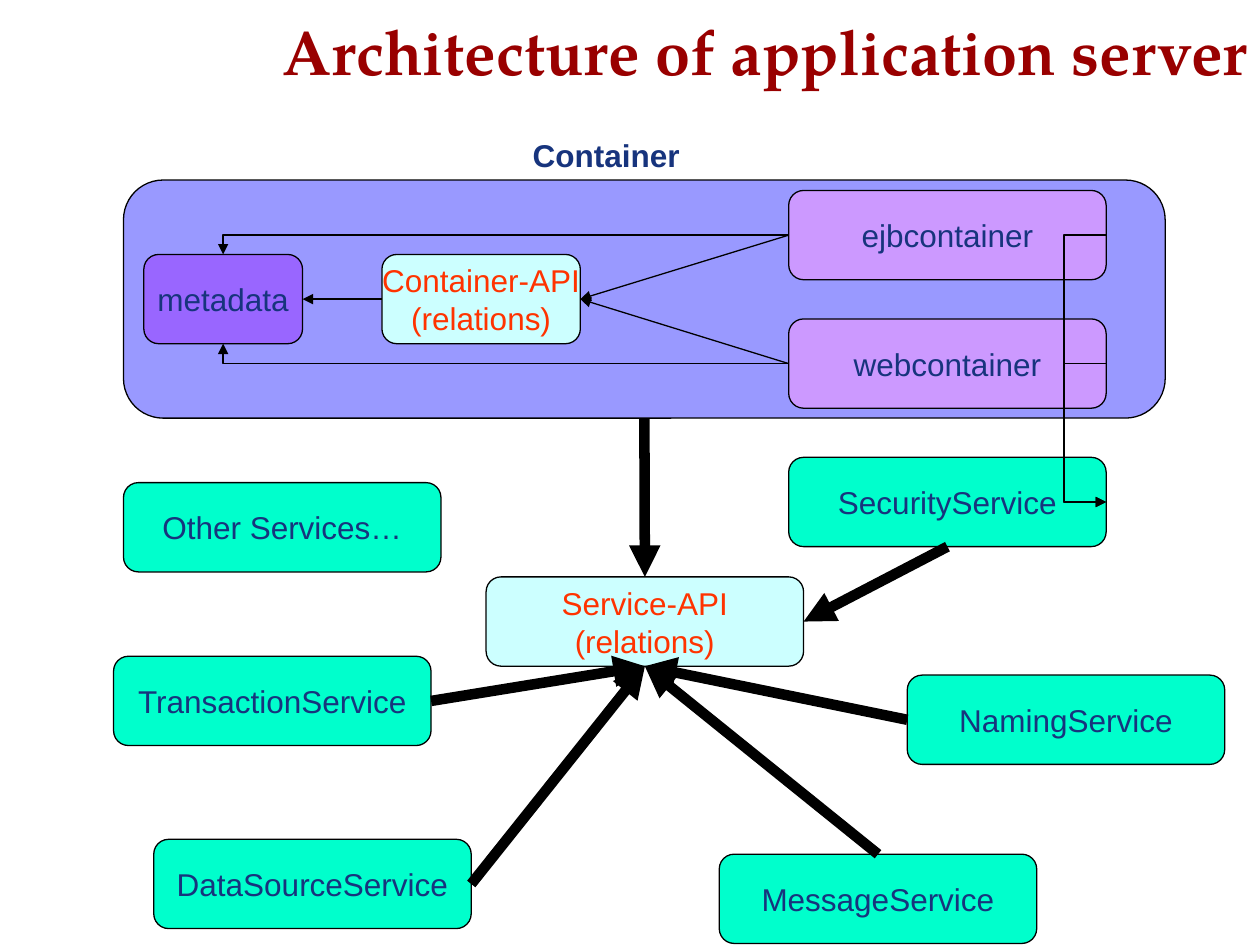
from lxml import etree
from pptx import Presentation
from pptx.dml.color import RGBColor
from pptx.enum.shapes import MSO_CONNECTOR, MSO_SHAPE
from pptx.enum.text import MSO_ANCHOR, PP_ALIGN
from pptx.oxml.ns import qn
from pptx.util import Cm, Pt

STRAIGHT, ELBOW = MSO_CONNECTOR.STRAIGHT, MSO_CONNECTOR.ELBOW
ROUND, CARD = MSO_SHAPE.ROUNDED_RECTANGLE, MSO_SHAPE.FLOWCHART_ALTERNATE_PROCESS
LEFT, CENTER, RIGHT = PP_ALIGN.LEFT, PP_ALIGN.CENTER, PP_ALIGN.RIGHT
TOP, MIDDLE, BOTTOM = MSO_ANCHOR.TOP, MSO_ANCHOR.MIDDLE, MSO_ANCHOR.BOTTOM
NORTH, WEST, SOUTH, EAST = range(4)

NAVY, ORANGE, RED, BLACK = "17347D", "FF3300", "990000", "000000"
MINT, ICE, LILAC, VIOLET, BLUE = "00FFCC", "CCFFFF", "CC99FF", "9966FF", "9999FF"
WIDE, HIGH = 6.4, 1.8
THIN, THICK = 0.75, 6


def color(code):
    return RGBColor.from_string(code)


def write(shape, text, size=18, font="Arial", ink=NAVY, bold=False,
          align=CENTER, anchor=MIDDLE, wrap=False, pad=0.13):
    frame = shape.text_frame
    frame.word_wrap = wrap
    frame.vertical_anchor = anchor
    frame.margin_left = frame.margin_right = Cm(0.25)
    frame.margin_top = frame.margin_bottom = Cm(pad)
    frame.text = text
    for para in frame.paragraphs:
        para.alignment = align
        para.font.size = Pt(size)
        para.font.name = font
        para.font.bold = bold
        para.font.color.rgb = color(ink)


def label(slide, box, text, **style):
    write(slide.shapes.add_textbox(*map(Cm, box)), text, wrap=True, **style)


def panel(slide, box, fill, kind=CARD):
    shape = slide.shapes.add_shape(kind, *map(Cm, box))
    shape.shadow.inherit = False
    shape.fill.solid()
    shape.fill.fore_color.rgb = color(fill)
    shape.line.color.rgb = color(BLACK)
    shape.line.width = Pt(THIN)
    return shape


def card(slide, left, top, text, fill=MINT, ink=NAVY, wide=WIDE):
    shape = panel(slide, (left, top, wide, HIGH), fill)
    write(shape, text, ink=ink)
    return shape


def link(slide, start, side, end, stop, width=THIN, kind=STRAIGHT):
    line = slide.shapes.add_connector(kind, 0, 0, 0, 0)
    line.begin_connect(start, side)
    line.end_connect(end, stop)
    line.line.color.rgb = color(BLACK)
    line.line.width = Pt(width)
    props = line._element.spPr
    etree.SubElement(props.find(qn("a:ln")), qn("a:tailEnd"), type="triangle")
    etree.SubElement(props, qn("a:effectLst"))
    return line


def corner(slide, start, side, end, stop):
    line = link(slide, start, side, end, stop, kind=ELBOW)
    line._element.spPr.find(qn("a:prstGeom")).set("prst", "bentConnector2")


def detour(slide, start, end, reach=0.86, span=0.01):
    line = link(slide, start, EAST, end, EAST, kind=ELBOW)
    line.width = Cm(span)
    shape = line._element.spPr.find(qn("a:prstGeom"))
    guides = shape.find(qn("a:avLst"))
    if guides is None:
        guides = etree.SubElement(shape, qn("a:avLst"))
    ratio = round(reach / span * 100000)
    etree.SubElement(guides, qn("a:gd"), name="adj1", fmla=f"val {ratio}")


def container(slide, left, top, wide, high):
    base = panel(slide, (left, top, wide, high), BLUE, ROUND)
    label(slide, (left + 8, top - 1.01, 7.6, 1.02), "Container",
          bold=True, align=LEFT, anchor=TOP)
    mid = top + (high - HIGH) / 2
    api = card(slide, left + 5.21, mid, "Container-API\n(relations)", ICE, ORANGE, 4)
    meta = card(slide, left + 0.41, mid, "metadata", VIOLET, wide=3.2)
    ejb = card(slide, left + 13.41, top + 0.21, "ejbcontainer", LILAC)
    web = card(slide, left + 13.41, top + 2.8, "webcontainer", LILAC)
    link(slide, api, WEST, meta, EAST)
    for part, side in ((ejb, NORTH), (web, SOUTH)):
        link(slide, part, WEST, api, EAST)
        corner(slide, part, WEST, meta, side)
    return base, ejb, web


def services(slide, left, top):
    api = card(slide, left + 7.51, top + 2.41, "Service-API\n(relations)", ICE, ORANGE)
    guard = card(slide, left + 13.61, top, "SecurityService")
    card(slide, left + 0.2, top + 0.51, "Other Services…")
    link(slide, guard, SOUTH, api, EAST, THICK)
    for x, y, text, side in (
        (0.81, 7.7, "DataSourceService", EAST),
        (16, 4.39, "NamingService", WEST),
        (12.21, 8, "MessageService", NORTH),
        (0, 4.01, "TransactionService", EAST),
    ):
        part = card(slide, left + x, top + y, text)
        link(slide, part, side, api, SOUTH, THICK)
    return api, guard


def main():
    deck = Presentation()
    deck.slide_width, deck.slide_height = Cm(25.4), Cm(19.05)
    slide = deck.slides.add_slide(deck.slide_layouts[6])
    label(slide, (2, 0, 23.4, 1.78), "Architecture of application server",
          size=36, font="TeX Gyre Pagella", ink=RED, bold=True,
          align=RIGHT, anchor=BOTTOM, pad=0)
    base, ejb, web = container(slide, 2.49, 3.63, 21, 4.8)
    api, guard = services(slide, 2.29, 9.22)
    link(slide, base, SOUTH, api, NORTH, THICK)
    for part in (ejb, web):
        detour(slide, part, guard)
    deck.save("out.pptx")


if __name__ == "__main__":
    main()
